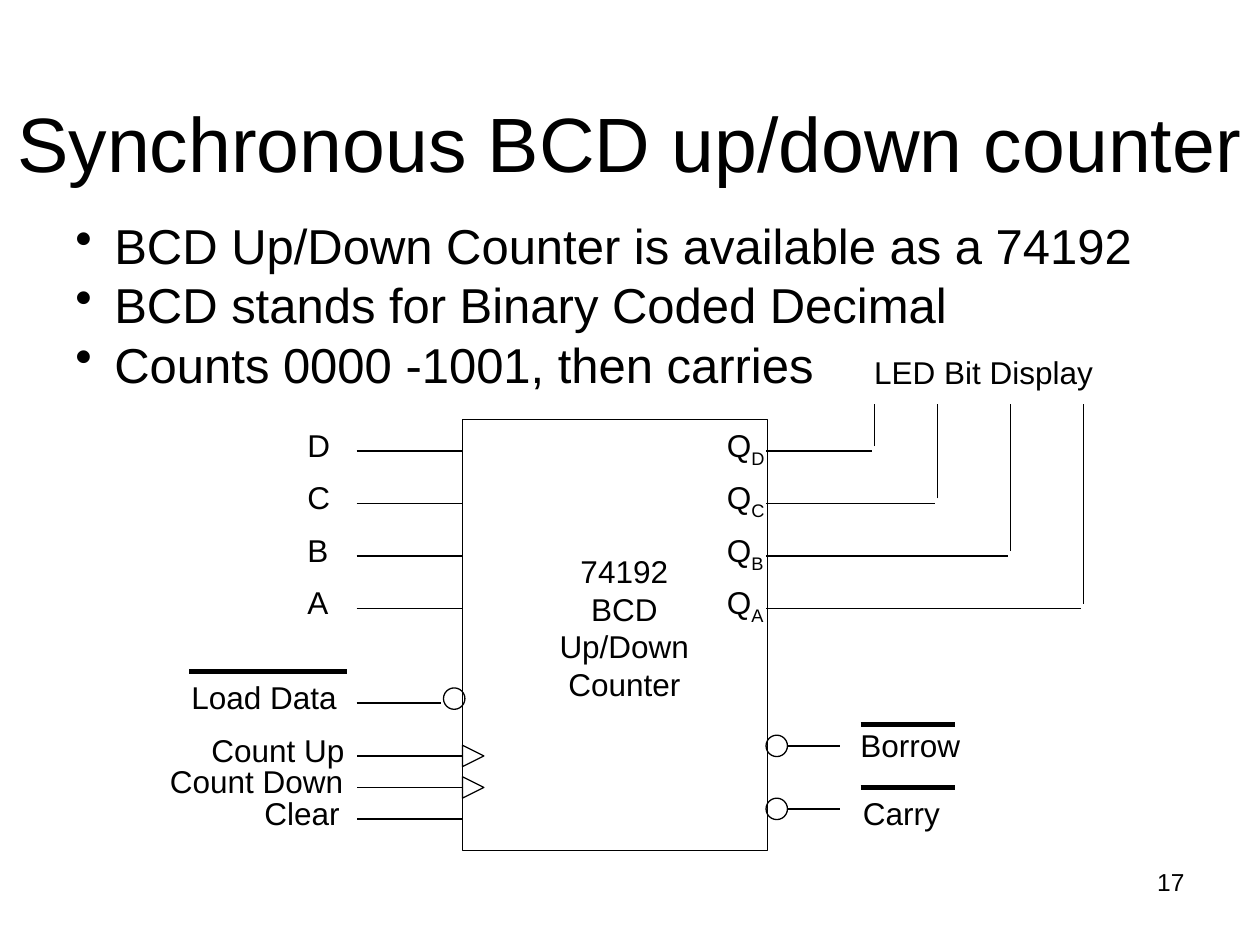
from pptx import Presentation
from pptx.dml.color import RGBColor
from pptx.enum.shapes import MSO_CONNECTOR, MSO_SHAPE
from pptx.enum.text import MSO_ANCHOR, MSO_AUTO_SIZE, PP_ALIGN
from pptx.oxml.ns import qn
from pptx.util import Inches, Pt
from lxml.etree import SubElement

THEME = {
    "font": "Arial", "ink": RGBColor(0, 0, 0),
    "title": 44, "body": 28, "label": 18, "number": 14,
    "thin": 0.75, "thick": 3,
}

TITLE = "Synchronous BCD up/down counter"
BULLETS = [
    "BCD Up/Down Counter is available as a 74192",
    "BCD stands for Binary Coded Decimal",
    "Counts 0000 -1001, then carries",
]
CHIP_NAME = ["74192", "BCD", "Up/Down", "Counter"]
BITS = [("D", 6.92), ("C", 7.42), ("B", 8), ("A", 8.58)]
CONTROLS = [
    ("Count Up", 1.58, 5.75, 1.25, 6, True),
    ("Count Down", 1.25, 6, 1.57, 6.25, True),
    ("Clear", 2, 6.25, 0.79, 6.5, False),
]
OUTPUTS = [
    ("Borrow", 6.73, 5.71, 0.99, 5.92, 5.75),
    ("Carry", 6.75, 6.25, 0.81, 6.42, 6.25),
]

CHIP_LEFT, CHIP_TOP, CHIP_W, CHIP_H = 3.67, 3.33, 2.42, 3.42
CHIP_RIGHT = 6.08
INPUT_X = 2.83
BIT_PITCH = 5 / 12
MARK = 0.17
LABEL_H = 0.4
DISPLAY_Y = 3.21

prs = Presentation()
prs.slide_width, prs.slide_height = Inches(10), Inches(7.5)
slide = prs.slides.add_slide(prs.slide_layouts[5])


def write(tf, lines, size=THEME["label"], align=PP_ALIGN.LEFT, wrap=False,
          anchor=MSO_ANCHOR.TOP, spacing=None, before=0, bullet=None, sub=None):
    tf.auto_size = MSO_AUTO_SIZE.NONE
    tf.word_wrap = wrap
    tf.vertical_anchor = anchor
    for i, line in enumerate(lines):
        p = tf.paragraphs[0] if i == 0 else tf.add_paragraph()
        p.alignment = align
        p.line_spacing = spacing
        p.space_before = Pt(before)
        if bullet:
            pPr = p._p.get_or_add_pPr()
            pPr.set("marL", str(Inches(0.31)))
            pPr.set("indent", str(-Inches(0.31)))
            SubElement(pPr, qn("a:buChar")).set("char", bullet)
        for text, baseline in ((line, None), (sub, "-25000")):
            if text:
                r = p.add_run()
                r.text = text
                r.font.name = THEME["font"]
                r.font.size = Pt(size)
                r.font.color.rgb = THEME["ink"]
                if baseline:
                    r.font._element.set("baseline", baseline)


def add_text(lines, x, y, w, h=LABEL_H, **fmt):
    sp = slide.shapes.add_textbox(Inches(x), Inches(y), Inches(w), Inches(h))
    write(sp.text_frame, lines, **fmt)


def add_outline(kind, x, y, w=MARK, h=MARK, rotation=0):
    sp = slide.shapes.add_shape(kind, Inches(x), Inches(y), Inches(w), Inches(h))
    sp.shadow.inherit = False
    sp.fill.background()
    sp.line.color.rgb = THEME["ink"]
    sp.line.width = Pt(THEME["thin"])
    sp.rotation = rotation


def add_line(x1, y1, x2, y2, width=THEME["thin"]):
    cx = slide.shapes.add_connector(
        MSO_CONNECTOR.STRAIGHT, Inches(x1), Inches(y1), Inches(x2), Inches(y2))
    cx.line.color.rgb = THEME["ink"]
    cx.line.width = Pt(width)
    SubElement(cx._element.spPr, qn("a:effectLst"))


title = slide.shapes.title
title.left, title.top, title.width, title.height = (
    Inches(v) for v in (0, 0.3, 10, 1.25))
write(title.text_frame, [TITLE], size=THEME["title"], align=PP_ALIGN.CENTER,
      wrap=True, anchor=MSO_ANCHOR.BOTTOM, spacing=0.9)
add_text(BULLETS, 0.5, 1.75, 9, 1.42, size=THEME["body"], wrap=True,
         spacing=0.8, before=7, bullet="•")
add_text(["17"], 7.17, 6.83, 2.33, 0.52, size=THEME["number"],
         align=PP_ALIGN.RIGHT, wrap=True)

add_outline(MSO_SHAPE.RECTANGLE, CHIP_LEFT, CHIP_TOP, CHIP_W, CHIP_H)
add_text(CHIP_NAME, 4.34, 4.33, 1.23, 1.3, align=PP_ALIGN.CENTER)
add_text(["LED Bit Display"], 6.84, 2.75, 1.93)

for i, (bit, display_x) in enumerate(BITS):
    top = CHIP_TOP + i * BIT_PITCH
    wire_y = top + 0.25
    add_text([bit], 2.34, top, 0.38)
    add_line(INPUT_X, wire_y, CHIP_LEFT, wire_y)
    add_text(["Q"], 5.67, top, 0.58, 0.44, wrap=True, sub=bit)
    add_line(CHIP_RIGHT, wire_y, display_x, wire_y)
    add_line(display_x + 0.02, wire_y - 0.04, display_x + 0.02, DISPLAY_Y)

add_text(["Load Data"], 1.42, 5.33, 1.35)
add_line(1.5, 5.33, 2.75, 5.33, THEME["thick"])
add_line(INPUT_X, 5.58, 3.5, 5.58)
add_outline(MSO_SHAPE.OVAL, 3.52, 5.46)

for name, x, y, w, wire_y, clocked in CONTROLS:
    add_text([name], x, y, w)
    add_line(CHIP_LEFT, wire_y, INPUT_X, wire_y)
    if clocked:
        add_outline(MSO_SHAPE.ISOSCELES_TRIANGLE, CHIP_LEFT, wire_y - MARK / 2,
                    rotation=90)

for name, x, y, w, wire_y, bar_y in OUTPUTS:
    add_text([name], x, y, w)
    add_line(6.83, bar_y, 7.58, bar_y, THEME["thick"])
    add_outline(MSO_SHAPE.OVAL, CHIP_RIGHT, wire_y - MARK / 2)
    add_line(CHIP_RIGHT + MARK, wire_y, 6.67, wire_y)

prs.save("out.pptx")
